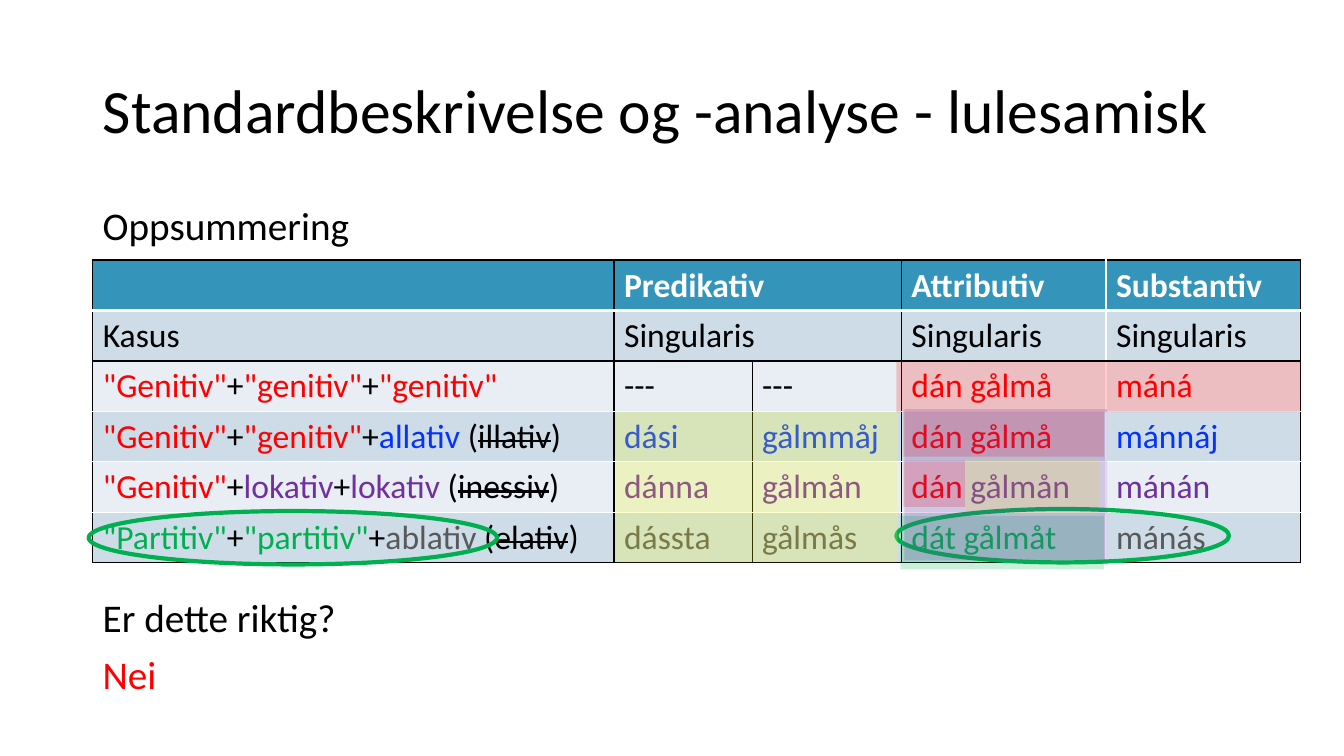
"""Build a slide that sums up the standard analysis of Lule Sámi numeral phrases."""
import pptx
import pptx.dml.color
import pptx.enum.shapes
import pptx.enum.text
import pptx.oxml
import pptx.oxml.ns
import pptx.util

Inches = pptx.util.Inches
Pt = pptx.util.Pt
RGBColor = pptx.dml.color.RGBColor
MSO_SHAPE = pptx.enum.shapes.MSO_SHAPE

BLACK = RGBColor(0x00, 0x00, 0x00)
WHITE = RGBColor(0xFF, 0xFF, 0xFF)
RED = RGBColor(0xFF, 0x00, 0x00)
BLUE = RGBColor(0x04, 0x32, 0xFF)
PURPLE = RGBColor(0x70, 0x30, 0xA0)
GREEN = RGBColor(0x00, 0xB0, 0x50)
GREY = RGBColor(0x59, 0x59, 0x59)
YELLOW = RGBColor(0xFF, 0xFF, 0x00)
HEADER_FILL = RGBColor(0x34, 0x94, 0xBA)
DARK_BAND = RGBColor(0xCE, 0xDC, 0xE7)
LIGHT_BAND = RGBColor(0xE8, 0xEE, 0xF3)

PLUS = ("+", BLACK)
GENITIVE = [('"Genitiv"', RED), PLUS]


def struck(word):
    return [(" (", BLACK), (word, BLACK, True), (")", BLACK)]


ROWS = [
    [[], [("Predikativ", WHITE)], [], [("Attributiv", WHITE)], [("Substantiv", WHITE)]],
    [[("Kasus", BLACK)], [("Singularis", BLACK)], [], [("Singularis", BLACK)],
     [("Singularis", BLACK)]],
    [GENITIVE + [('"genitiv"', RED), PLUS, ('"genitiv"', RED)],
     [("---", BLACK)], [("---", BLACK)], [("dán gålmå", RED)], [("máná", RED)]],
    [GENITIVE + [('"genitiv"', RED), PLUS, ("allativ", BLUE)] + struck("illativ"),
     [("dási", BLUE)], [("gålmmåj", BLUE)], [("dán gålmå", RED)], [("mánnáj", BLUE)]],
    [GENITIVE + [("lokativ", PURPLE), PLUS, ("lokativ", PURPLE)] + struck("inessiv"),
     [("dánna", PURPLE)], [("gålmån", PURPLE)], [("dán ", RED), ("gålmån", PURPLE)],
     [("mánán", PURPLE)]],
    [[('"Partitiv"', GREEN), PLUS, ('"partitiv"', GREEN), PLUS, ("ablativ", GREY)]
     + struck("elativ"),
     [("dássta", GREY)], [("gålmås", GREY)], [("dát gålmåt", GREEN)], [("mánás", GREY)]],
]
COLUMN_WIDTHS = [5.17, 1.37, 1.48, 2.03, 1.93]
ROW_FILLS = [HEADER_FILL, DARK_BAND, LIGHT_BAND, DARK_BAND, LIGHT_BAND, DARK_BAND]
ROW_RULES = [(BLACK, 1), (WHITE, 3), (BLACK, 1), (WHITE, 1), (WHITE, 1), (WHITE, 1), (BLACK, 1)]
COLUMN_RULES = [(BLACK, 1)] * 4 + [(WHITE, 1), (BLACK, 1)]

MARKS = [
    ("highlight", 9.57, 4.55, 1.34, 0.55, YELLOW),
    ("ring", 8.89, 5.05, 3.3, 0.53, GREEN),
    ("ring", 0.88, 5.07, 4.05, 0.53, GREEN),
    ("highlight", 8.89, 3.59, 4.01, 0.5, RED),
    ("highlight", 8.96, 4.08, 1.99, 0.45, RED),
    ("highlight", 8.93, 5.12, 2.02, 0.53, GREEN),
    ("highlight", 8.96, 4.57, 0.61, 0.46, RED),
    ("highlight", 6.11, 4.08, 2.79, 1.5, YELLOW),
    ("highlight", 8.97, 4.06, 2.01, 1.5, PURPLE),
]


class SlideBuilder:
    font_name = "Calibri"
    table_size = 24
    body_size = 28
    title_size = 44

    def __init__(self, presentation):
        self.slide = presentation.slides.add_slide(presentation.slide_layouts[5])

    def style(self, font, size, color, bold=False):
        font.name = self.font_name
        font.size = Pt(size)
        font.color.rgb = color
        font.bold = bold

    def title(self, text, left, top, width, height):
        shape = self.slide.shapes.title
        shape.left, shape.top = Inches(left), Inches(top)
        shape.width, shape.height = Inches(width), Inches(height)
        frame = shape.text_frame
        frame.text = text
        frame.auto_size = pptx.enum.text.MSO_AUTO_SIZE.NONE
        frame.vertical_anchor = pptx.enum.text.MSO_ANCHOR.MIDDLE
        paragraph = frame.paragraphs[0]
        paragraph.alignment = pptx.enum.text.PP_ALIGN.LEFT
        paragraph.line_spacing = 0.9
        self.style(paragraph.runs[0].font, self.title_size, BLACK)

    def body(self, lines, left, top, width, height):
        shape = self.slide.shapes.add_textbox(
            Inches(left), Inches(top), Inches(width), Inches(height))
        frame = shape.text_frame
        frame.word_wrap = True
        frame.text = "\n".join(text for text, color, space in lines)
        for paragraph, (text, color, space) in zip(frame.paragraphs, lines):
            paragraph.line_spacing = 0.9
            paragraph.space_before = Pt(space)
            self.style(paragraph.runs[0].font, self.body_size, color)

    def border(self, cell, side, color, width):
        line = pptx.oxml.parse_xml(
            f'<a:{side} {pptx.oxml.ns.nsdecls("a")} w="{Pt(width)}">'
            f'<a:solidFill><a:srgbClr val="{color}"/></a:solidFill></a:{side}>')
        cell._tc.get_or_add_tcPr().append(line)

    def fill_cell(self, cell, pieces, bold):
        paragraph = cell.text_frame.paragraphs[0]
        paragraph.font.size = Pt(self.table_size)
        for text, color, *strike in pieces:
            run = paragraph.add_run()
            run.text = text
            self.style(run.font, self.table_size, color, bold)
            if strike:
                run._r.get_or_add_rPr().set("strike", "sngStrike")

    def table(self, rows, left, top, row_height):
        table = self.slide.shapes.add_table(
            len(rows), len(COLUMN_WIDTHS), Inches(left), Inches(top),
            Inches(sum(COLUMN_WIDTHS)), Inches(row_height * len(rows))).table
        for column, width in zip(table.columns, COLUMN_WIDTHS):
            column.width = Inches(width)
        for row_index, row in enumerate(rows):
            for column_index, pieces in enumerate(row):
                cell = table.cell(row_index, column_index)
                self.fill_cell(cell, pieces, row_index == 0)
                self.border(cell, "lnL", *COLUMN_RULES[column_index])
                self.border(cell, "lnR", *COLUMN_RULES[column_index + 1])
                self.border(cell, "lnT", *ROW_RULES[row_index])
                self.border(cell, "lnB", *ROW_RULES[row_index + 1])
                cell.fill.solid()
                cell.fill.fore_color.rgb = ROW_FILLS[row_index]
        for row_index in range(2):
            table.cell(row_index, 1).merge(table.cell(row_index, 2))

    def shape(self, preset, left, top, width, height):
        shape = self.slide.shapes.add_shape(
            preset, Inches(left), Inches(top), Inches(width), Inches(height))
        shape.shadow.inherit = False
        return shape

    def highlight(self, left, top, width, height, color):
        shape = self.shape(MSO_SHAPE.RECTANGLE, left, top, width, height)
        shape.line.fill.background()
        shape.fill.solid()
        shape.fill.fore_color.rgb = color
        color_element = shape._element.spPr.find(
            f'{pptx.oxml.ns.qn("a:solidFill")}/{pptx.oxml.ns.qn("a:srgbClr")}')
        color_element.append(pptx.oxml.parse_xml(
            f'<a:alpha {pptx.oxml.ns.nsdecls("a")} val="20000"/>'))

    def ring(self, left, top, width, height, color):
        shape = self.shape(MSO_SHAPE.OVAL, left, top, width, height)
        shape.fill.background()
        shape.line.color.rgb = color
        shape.line.width = Pt(3)


def main():
    presentation = pptx.Presentation()
    presentation.slide_width = Inches(13.33)
    presentation.slide_height = Inches(7.5)
    builder = SlideBuilder(presentation)
    builder.title("Standardbeskrivelse og -analyse - lulesamisk", 0.92, 0.4, 11.5, 1.45)
    builder.body([("Oppsummering", BLACK, 0), ("Er dette riktig?", BLACK, 250),
                  ("Nei", RED, 10)], 0.92, 2, 12.02, 5.1)
    builder.table(ROWS, 0.92, 2.58, 0.5)
    for kind, left, top, width, height, color in MARKS:
        draw = builder.ring if kind == "ring" else builder.highlight
        draw(left, top, width, height, color)
    presentation.save("out.pptx")


if __name__ == "__main__":
    main()
